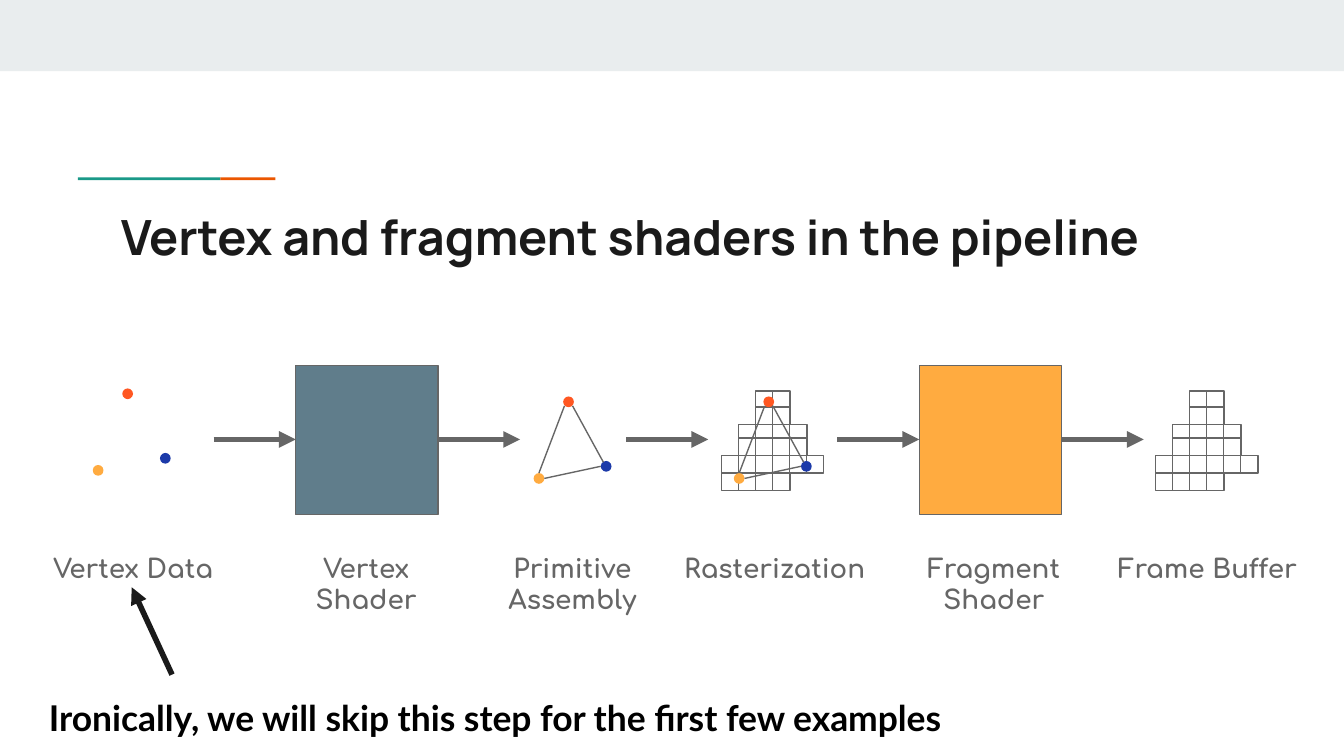
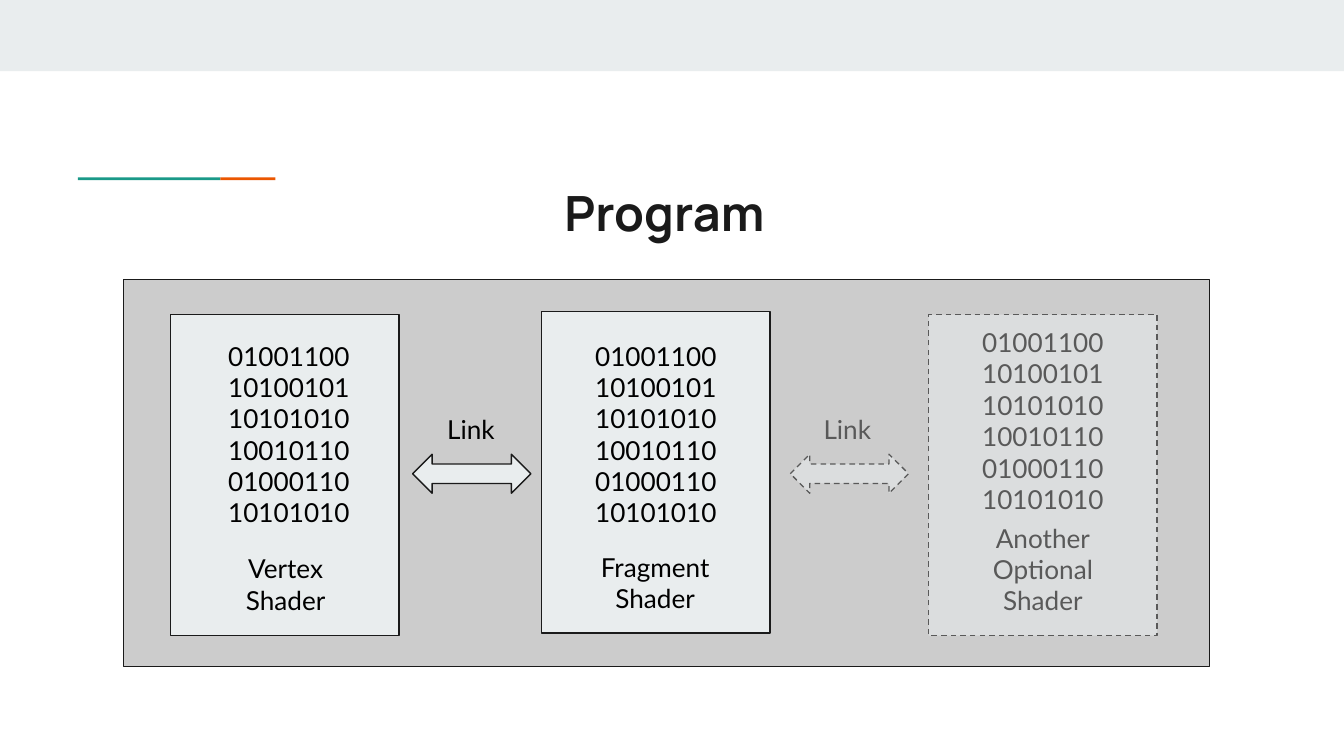
from lxml.etree import SubElement
from pptx import Presentation
from pptx.dml.color import RGBColor
from pptx.enum.dml import MSO_LINE
from pptx.enum.shapes import MSO_CONNECTOR, MSO_SHAPE
from pptx.enum.text import MSO_ANCHOR, MSO_AUTO_SIZE, PP_ALIGN
from pptx.oxml.ns import qn
from pptx.util import Inches, Pt

# Colours
WHITE = RGBColor(0xFF, 0xFF, 0xFF)
BLACK = RGBColor(0, 0, 0)
INK = RGBColor(0x1A, 0x1A, 0x1A)
GREY = RGBColor(0x66, 0x66, 0x66)
FADED = RGBColor(0x59, 0x59, 0x59)
PALE = RGBColor(0xE9, 0xED, 0xEE)
PANEL = RGBColor(0xCC, 0xCC, 0xCC)
GREEN = RGBColor(0x1A, 0x99, 0x88)
ORANGE = RGBColor(0xEB, 0x56, 0x00)
SLATE = RGBColor(0x60, 0x7D, 0x8B)
RED = RGBColor(0xFF, 0x57, 0x22)
BLUE = RGBColor(0x1C, 0x3A, 0xA9)
AMBER = RGBColor(0xFF, 0xAB, 0x40)

# Widescreen slide
WIDTH = 10
HEIGHT = WIDTH * 9 / 16

# Pipeline content: label, left, width, height
STAGES = [
    ("Vertex Data", 0.25, 1.48, 0.37),
    ("Vertex Shader", 2.24, 0.97, 0.65),
    ("Primitive Assembly", 3.68, 1.16, 0.65),
    ("Rasterization", 4.99, 1.55, 0.65),
    ("Fragment Shader", 6.77, 1.25, 0.65),
    ("Frame Buffer", 8.21, 1.55, 0.65),
]
LABEL_TOP = 4.01
SHADER_BLOCKS = [(2.2, SLATE), (6.84, AMBER)]
ARROW_STARTS = [1.59, 3.26, 4.66, 6.23, 7.9]
ARROW_Y, ARROW_LENGTH = 3.27, 0.61

# Triangle, as offsets from the top vertex
VERTICES = [(0, 0, RED), (0.28, 0.48, BLUE), (-0.22, 0.57, AMBER)]
EDGES = [(0.07, 0.07, 0.3, 0.49), (-0.14, 0.61, 0.28, 0.52),
         (0.01, 0.07, -0.18, 0.57)]
DOT = 0.08

# Pixel rows: top, first column, last column
PIXEL_ROWS = [(2.91, 2, 3), (3.03, 2, 3), (3.16, 1, 4),
              (3.26, 1, 4), (3.39, 0, 5), (3.52, 0, 3)]
PIXEL, PIXEL_STEP = 0.13, 0.63 / 5

# Program content
BITS = "010011001010010110101010100101100100011010101010"
# Shader: name lines, name box, card left and top, bits left and top, faded
SHADERS = [
    (["Vertex Shader"], (1.43, 4.11, 1.39, 0.47), (1.27, 2.34), (1.56, 2.51), False),
    (["Fragment Shader"], (4.18, 4.1, 1.39, 0.47), (4.03, 2.32), (4.29, 2.51), False),
    (["Another", "Optional Shader"], (7.02, 3.9, 1.48, 0.67), (6.91, 2.34),
     (7.17, 2.41), True),
]
# Link: arrow left, label left, faded
LINKS = [(3.07, 3.2, False), (5.88, 6, True)]


def inches(*values):
    return [Inches(v) for v in values]


def shape(shapes, kind, box, fill, line=None, faded=False):
    sp = shapes.add_shape(kind, *inches(*box))
    sp.shadow.inherit = False
    sp.fill.solid()
    sp.fill.fore_color.rgb = fill
    if line is None:
        sp.line.fill.background()
    else:
        sp.line.color.rgb = line
        sp.line.width = Pt(0.75)
    if faded:
        sp.line.dash_style = MSO_LINE.DASH
        color = sp._element.spPr.find(qn("a:solidFill")).find(qn("a:srgbClr"))
        SubElement(color, qn("a:alpha")).set("val", "53000")
    return sp


def line(shapes, ends, color, width, arrow=False):
    c = shapes.add_connector(MSO_CONNECTOR.STRAIGHT, *inches(*ends))
    c.line.color.rgb = color
    c.line.width = Pt(width)
    if arrow:
        SubElement(c.line._get_or_add_ln(), qn("a:tailEnd")).set("type", "triangle")
    SubElement(c._element.spPr, qn("a:effectLst"))


def write(sp, lines, font, size, color, bold=False,
          align=PP_ALIGN.CENTER, anchor=MSO_ANCHOR.MIDDLE):
    tf = sp.text_frame
    tf.word_wrap = True
    tf.auto_size = MSO_AUTO_SIZE.NONE
    tf.vertical_anchor = anchor
    tf.margin_left = tf.margin_right = tf.margin_top = tf.margin_bottom = Inches(0.1)
    tf.text = "\n".join(lines)
    for p in tf.paragraphs:
        p.alignment = align
        for r in p.runs:
            r.font.name = font
            r.font.size = Pt(size)
            r.font.bold = bold
            r.font.color.rgb = color


def text(s, box, lines, *style, **options):
    write(s.shapes.add_textbox(*inches(*box)), lines, *style, **options)


def new_slide(prs, title, box, align, anchor):
    """Slide with the top band, the two-colour rule and a title."""
    s = prs.slides.add_slide(prs.slide_layouts[5])
    for bar, color in [((0, 0, WIDTH, 0.53), PALE),
                       ((0.58, 1.32, 1.06, 0.02), GREEN),
                       ((1.64, 1.32, 0.41, 0.02), ORANGE)]:
        shape(s.shapes, MSO_SHAPE.RECTANGLE, bar, color)
    sp = s.shapes.title
    sp.left, sp.top, sp.width, sp.height = inches(*box)
    write(sp, [title], "Manrope", 26, INK, True, align, anchor)
    return s


def vertices(s, left, top, joined=True):
    shapes = s.shapes.add_group_shape().shapes
    for dx, dy, color in VERTICES:
        shape(shapes, MSO_SHAPE.OVAL, (left + dx, top + dy, DOT, DOT), color)
    if joined:
        for x1, y1, x2, y2 in EDGES:
            line(shapes, (left + x1, top + y1, left + x2, top + y2), GREY, 0.75)


def pixels(s, left):
    shapes = s.shapes.add_group_shape().shapes
    for top, first, last in PIXEL_ROWS:
        for col in range(first, last + 1):
            shape(shapes, MSO_SHAPE.RECTANGLE,
                  (left + col * PIXEL_STEP, top, PIXEL, PIXEL), WHITE, GREY)


def pipeline_slide(prs):
    s = new_slide(prs, "Vertex and fragment shaders in the pipeline",
                  (0.8, 1.44, 8.41, 0.59), PP_ALIGN.LEFT, MSO_ANCHOR.TOP)
    # Stage drawings
    vertices(s, 0.91, 2.89, joined=False)
    for left, color in SHADER_BLOCKS:
        shape(s.shapes, MSO_SHAPE.RECTANGLE, (left, 2.72, 1.06, 1.11), color, GREY)
    vertices(s, 4.19, 2.95)
    pixels(s, 5.37)
    vertices(s, 5.68, 2.95)
    pixels(s, 8.6)
    # Arrows and labels
    for x in ARROW_STARTS:
        line(s.shapes, (x, ARROW_Y, x + ARROW_LENGTH, ARROW_Y), GREY, 3, arrow=True)
    for label, left, width, height in STAGES:
        text(s, (left, LABEL_TOP, width, height), [label], "Comfortaa", 14, GREY,
             True, anchor=MSO_ANCHOR.TOP)
    # Remark
    text(s, (0.08, 5.04, 7.21, 0.59),
         ["Ironically, we will skip this step for the first few examples"],
         "Lato", 19, BLACK, True)
    line(s.shapes, (1.28, 5.02, 0.98, 4.37), INK, 3, arrow=True)


def program_slide(prs):
    s = new_slide(prs, "Program", (3.31, 1.24, 3.27, 0.67),
                  PP_ALIGN.CENTER, MSO_ANCHOR.MIDDLE)
    shape(s.shapes, MSO_SHAPE.RECTANGLE, (0.92, 2.08, 8.08, 2.88), PANEL, INK)
    # Shader cards
    for name, name_box, card, bits, faded in SHADERS:
        color = FADED if faded else BLACK
        shape(s.shapes, MSO_SHAPE.RECTANGLE, (*card, 1.7, 2.39), PALE,
              FADED if faded else INK, faded)
        text(s, name_box, name, "Lato", 14, color)
        text(s, (*bits, 1.18, 1.44), [BITS], "Lato", 14, color)
    # Links between cards
    for left, label_left, faded in LINKS:
        shape(s.shapes, MSO_SHAPE.LEFT_RIGHT_ARROW, (left, 3.38, 0.88, 0.29), PALE,
              FADED if faded else INK, faded)
        text(s, (label_left, 3.05, 0.61, 0.29), ["Link"], "Lato", 14,
             FADED if faded else BLACK)


def main():
    prs = Presentation()
    prs.slide_width, prs.slide_height = inches(WIDTH, HEIGHT)
    pipeline_slide(prs)
    program_slide(prs)
    prs.save("out.pptx")


if __name__ == "__main__":
    main()
